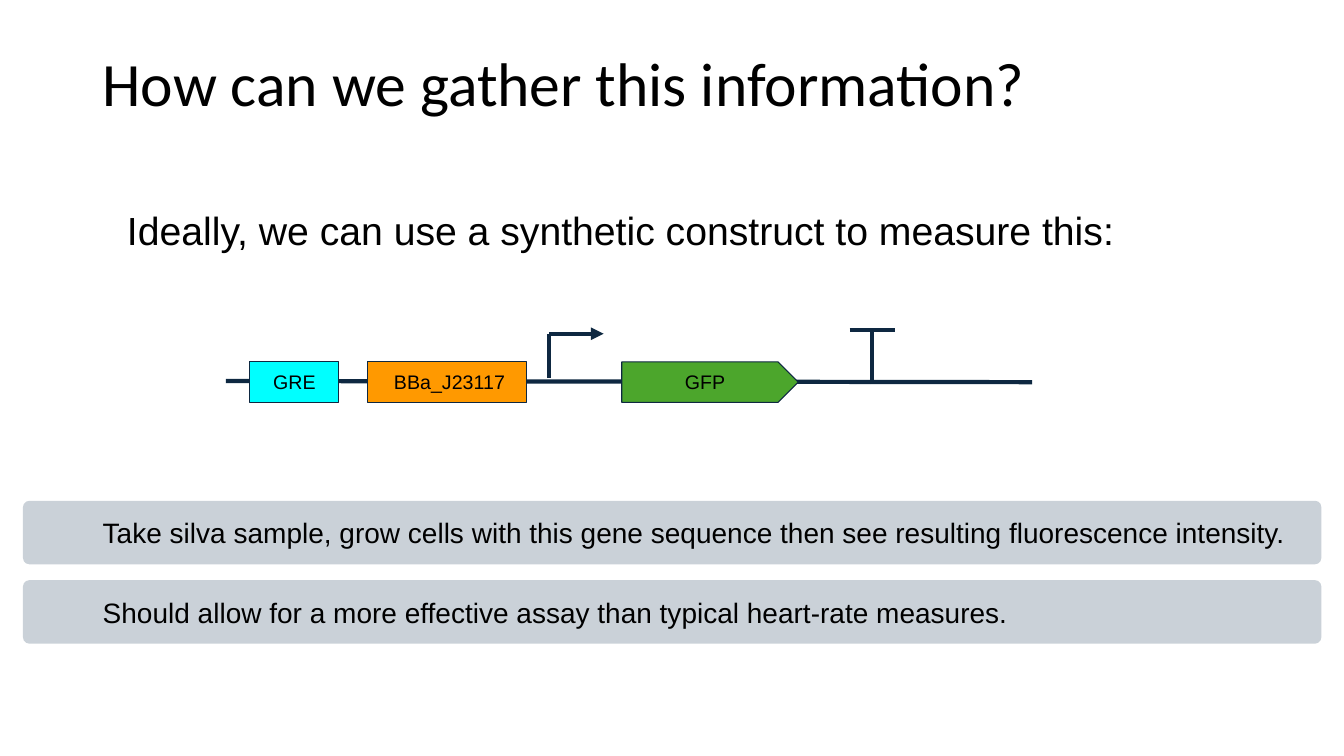
from dataclasses import dataclass

from lxml import etree
from pptx import Presentation
from pptx.dml.color import RGBColor
from pptx.enum.shapes import MSO_CONNECTOR, MSO_SHAPE
from pptx.enum.text import MSO_ANCHOR, MSO_AUTO_SIZE, PP_ALIGN
from pptx.oxml.ns import qn
from pptx.shapes.shapetree import GroupShapes, SlideShapes
from pptx.slide import Slide
from pptx.text.text import TextFrame
from pptx.util import Cm, Pt

STRAIGHT = MSO_CONNECTOR.STRAIGHT
RECT, PENTAGON, ROUNDED = MSO_SHAPE.RECTANGLE, MSO_SHAPE.PENTAGON, MSO_SHAPE.ROUNDED_RECTANGLE
LEFT, CENTER = PP_ALIGN.LEFT, PP_ALIGN.CENTER
TOP, MIDDLE = MSO_ANCHOR.TOP, MSO_ANCHOR.MIDDLE
NO_FIT, GROW = MSO_AUTO_SIZE.NONE, MSO_AUTO_SIZE.SHAPE_TO_FIT_TEXT


@dataclass(frozen=True)
class Theme:
    text: RGBColor = RGBColor(0, 0, 0)
    navy: RGBColor = RGBColor(0x0E, 0x28, 0x41)
    cyan: RGBColor = RGBColor(0x00, 0xFF, 0xFF)
    orange: RGBColor = RGBColor(0xFF, 0x99, 0x00)
    green: RGBColor = RGBColor(0x4C, 0xA6, 0x2C)
    panel: RGBColor = RGBColor(0xCA, 0xD1, 0xD8)
    title_font: str = "Calibri"
    body_font: str = "Arial"
    title_size: int = 44
    intro_size: int = 28
    panel_size: int = 20
    gene_size: int = 14


THEME = Theme()


@dataclass(frozen=True)
class Gene:
    label: str
    left: float
    width: float
    fill: RGBColor
    shape: MSO_SHAPE = RECT
    align: PP_ALIGN = CENTER
    indent: float = 0.25


@dataclass(frozen=True)
class Strand:
    x1: float
    y1: float
    x2: float
    y2: float
    arrow: bool = False


GENE_TOP, GENE_HEIGHT = 9.12, 1.02
GENES = [
    Gene("GRE", 6.3, 2.24, THEME.cyan),
    Gene("BBa_J23117", 9.27, 3.99, THEME.orange, align=LEFT, indent=0.66),
    Gene("GFP", 15.67, 4.45, THEME.green, PENTAGON),
]
BACKBONE = Strand(5.69, 9.6, 26.01, 9.63)
PROMOTER = [Strand(13.84, 9.53, 13.84, 8.41), Strand(13.84, 8.41, 15.21, 8.41, arrow=True)]
TERMINATOR = [Strand(21.97, 9.68, 21.97, 8.31), Strand(21.41, 8.31, 22.56, 8.31)]

PANEL_LEFT, PANEL_TOP, PANEL_WIDTH, PANEL_HEIGHT = 0.58, 12.62, 32.72, 1.6
PANEL_PITCH, PANEL_INDENT = 2.0, 1.83
STATEMENTS = [
    "Take silva sample, grow cells with this gene sequence then see resulting "
    "fluorescence intensity.",
    "Should allow for a more effective assay than typical heart-rate measures.",
]


def write(tf: TextFrame, text: str, size: int, font: str = THEME.body_font,
          align: PP_ALIGN = LEFT, anchor: MSO_ANCHOR = MIDDLE, inset: float = 0.25) -> None:
    tf.word_wrap = True
    tf.auto_size = NO_FIT
    tf.vertical_anchor = anchor
    tf.margin_left = tf.margin_right = tf.margin_top = tf.margin_bottom = Cm(inset)
    p = tf.paragraphs[0]
    p.text = text
    p.alignment = align
    p.font.name = font
    p.font.size = Pt(size)
    p.font.color.rgb = THEME.text


def add_title(slide: Slide) -> None:
    title = slide.shapes.title
    title.left, title.top, title.width, title.height = Cm(2.33), Cm(0.33), Cm(29.21), Cm(3.68)
    write(title.text_frame, "How can we gather this information?",
          THEME.title_size, THEME.title_font)
    title.text_frame.paragraphs[0].line_spacing = 0.9


def add_intro(shapes: SlideShapes) -> None:
    box = shapes.add_textbox(Cm(2.95), Cm(4.95), Cm(30.9), Cm(1.7))
    write(box.text_frame, "Ideally, we can use a synthetic construct to measure this:",
          THEME.intro_size, anchor=TOP)
    box.text_frame.auto_size = GROW


def add_strand(shapes: GroupShapes, strand: Strand) -> None:
    line = shapes.add_connector(STRAIGHT, Cm(strand.x1), Cm(strand.y1),
                                Cm(strand.x2), Cm(strand.y2))
    line.line.color.rgb = THEME.navy
    line.line.width = Pt(3)
    sp_pr = line._element.spPr
    if strand.arrow:
        etree.SubElement(sp_pr.find(qn("a:ln")), qn("a:tailEnd"), type="triangle")
    etree.SubElement(sp_pr, qn("a:effectLst"))


def add_gene(shapes: GroupShapes, gene: Gene) -> None:
    sp = shapes.add_shape(gene.shape, Cm(gene.left), Cm(GENE_TOP),
                          Cm(gene.width), Cm(GENE_HEIGHT))
    sp.shadow.inherit = False
    sp.fill.solid()
    sp.fill.fore_color.rgb = gene.fill
    sp.line.color.rgb = THEME.navy
    sp.line.width = Pt(0.75)
    write(sp.text_frame, gene.label, THEME.gene_size, align=gene.align)
    sp.text_frame.margin_left = Cm(gene.indent)


def add_statement(shapes: GroupShapes, text: str, top: float) -> None:
    panel = shapes.add_shape(ROUNDED, Cm(PANEL_LEFT), Cm(top),
                             Cm(PANEL_WIDTH), Cm(PANEL_HEIGHT))
    panel.adjustments[0] = 0.1
    panel.shadow.inherit = False
    panel.fill.solid()
    panel.fill.fore_color.rgb = THEME.panel
    panel.line.fill.background()
    box = shapes.add_textbox(Cm(PANEL_LEFT + PANEL_INDENT), Cm(top),
                             Cm(PANEL_WIDTH - PANEL_INDENT), Cm(PANEL_HEIGHT))
    write(box.text_frame, text, THEME.panel_size, inset=0.18)


def main() -> None:
    prs = Presentation()
    prs.slide_width, prs.slide_height = Cm(33.87), Cm(19.05)
    slide = prs.slides.add_slide(prs.slide_layouts[5])
    add_title(slide)

    construct = slide.shapes.add_group_shape().shapes
    for strand in [BACKBONE, *PROMOTER, *TERMINATOR]:
        add_strand(construct, strand)
    for gene in GENES:
        add_gene(construct, gene)

    add_intro(slide.shapes)

    statements = slide.shapes.add_group_shape().shapes
    for row, text in enumerate(STATEMENTS):
        add_statement(statements, text, PANEL_TOP + row * PANEL_PITCH)

    prs.save("out.pptx")


if __name__ == "__main__":
    main()
